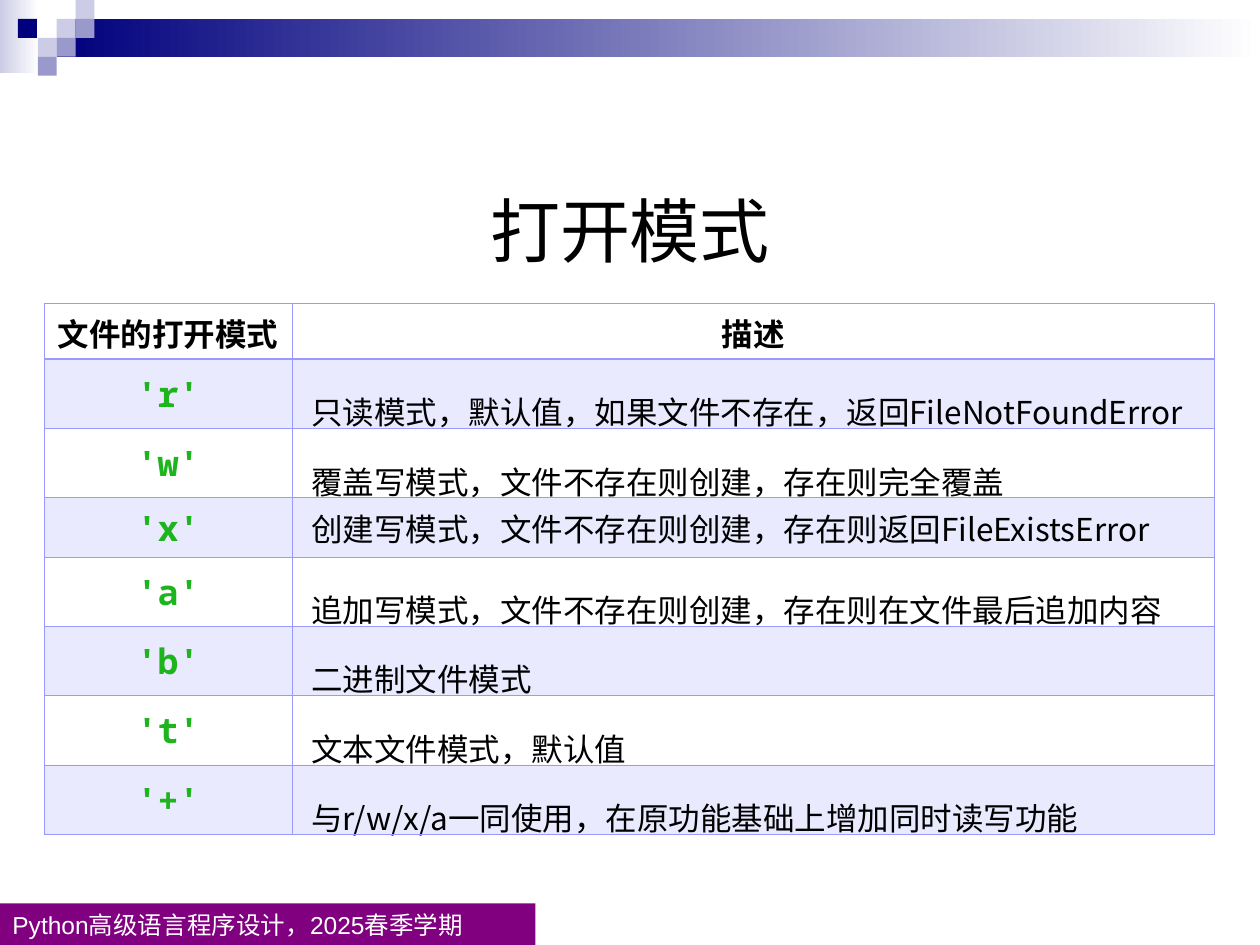
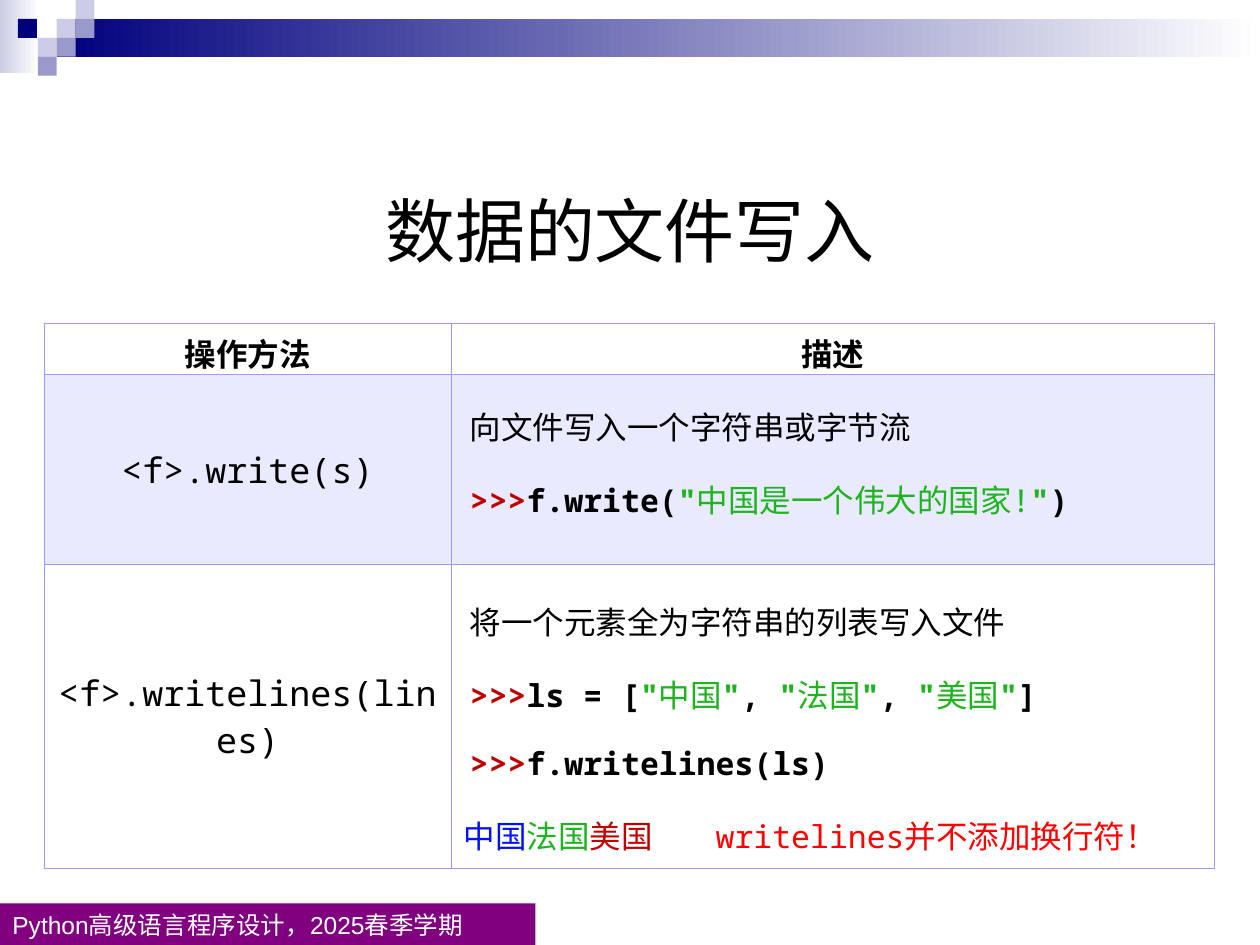
"""Build two slides on opening files and writing data to them."""
from dataclasses import dataclass, replace

from lxml import etree
from pptx import Presentation
from pptx.dml.color import RGBColor
from pptx.enum import shapes, text
from pptx.oxml.ns import qn
from pptx.util import Emu, Inches, Pt

CELL = 0.05
COLUMNS, ROWS = 200, 150
TILE = 3


@dataclass(frozen=True)
class Theme:
    """Colours, fonts and sizes shared by the slides."""
    black: str = "000000"
    white: str = "FFFFFF"
    navy: str = "00007D"
    mist: str = "CCCCE6"
    steel: str = "9999CC"
    purple: str = "800080"
    rule: str = "9999FF"
    green: str = "1DB41D"
    crimson: str = "C00000"
    blue: str = "0010FF"
    red: str = "FF0000"
    sans: str = "Noto Sans CJK SC"
    mono: str = "Noto Sans Mono"
    footer: str = "Arial"
    title_size: int = 40
    body_size: int = 18
    code_size: int = 20
    footer_size: int = 14
    thin: float = 0.45
    thick: float = 0.96
    tint_alpha: int = 20


THEME = Theme()


@dataclass(frozen=True)
class Area:
    """A rectangle in grid cells."""
    left: float
    top: float
    width: float
    height: float

    def lengths(self) -> list[Emu]:
        """Return left, top, width and height as lengths."""
        return [grid(v) for v in (self.left, self.top, self.width, self.height)]


@dataclass(frozen=True)
class Look:
    """The type style of a span."""
    size: int = THEME.body_size
    face: str = THEME.sans
    color: str = THEME.black
    bold: bool = False


@dataclass(frozen=True)
class Span:
    """Words in one look."""
    words: str
    look: Look = Look()


@dataclass(frozen=True)
class Line:
    """One paragraph, with indent and tab stop in inches."""
    spans: tuple[Span, ...]
    spacing: float = 1.0
    centred: bool = False
    indent: float = 0
    tab: float = 0


@dataclass(frozen=True)
class Entry:
    """The lines of one table cell and its bottom margin in inches."""
    lines: tuple[Line, ...]
    bottom: float = 0.05


@dataclass(frozen=True)
class Sheet:
    """A title with a table, measured in grid cells."""
    title: str
    top: float
    widths: tuple[float, ...]
    heights: tuple[float, ...]
    entries: tuple[tuple[Entry, ...], ...]


@dataclass(frozen=True)
class Block:
    """A coloured rectangle, fading to white if asked."""
    area: Area
    color: str
    fades: bool = False


BODY = Look()
HEAD = Look(bold=True)
MONO = Look(face=THEME.mono, bold=True)
PROMPT = Span(">>>", replace(MONO, color=THEME.crimson))
QUOTE = Span('"', replace(MONO, color=THEME.green))
LITERAL = replace(QUOTE.look, bold=False)
METHOD = Look(THEME.code_size, THEME.mono)
MODE = replace(METHOD, color=THEME.green, bold=True)
TITLE = Look(THEME.title_size)
FOOTER = Look(THEME.footer_size, THEME.footer, THEME.white)


def tile(column: float, row: float, color: str) -> Block:
    """Place one square of the corner pattern."""
    return Block(Area(column * TILE, row * TILE, TILE, TILE), color)


BLOCKS = (
    Block(Area(0, 0, 6.2, 11.6), THEME.mist, True),
    Block(Area(9, 3, COLUMNS - 9, 6), THEME.navy, True),
    tile(3, 1, THEME.mist), tile(4, 0, THEME.mist), tile(4, 1, THEME.steel),
    tile(2, 2, THEME.mist), tile(0.95, 1, THEME.navy), tile(3, 2, THEME.steel),
    tile(2, 3, THEME.steel),
)
FOOTER_BLOCK = Block(Area(0, 143.4, 85, 6.8), THEME.purple)
TITLE_AREA = Area(0, 29.4, COLUMNS, 17.4)
TABLE_LEFT = 7


def grid(cells: float) -> Emu:
    """Turn grid cells into a length."""
    return Inches(cells * CELL)


def centred(words: str, look: Look) -> Entry:
    """Make a cell with one centred line."""
    return Entry((Line((Span(words, look),), centred=True),))


def describe(words: str, spacing: float = 1.5) -> Line:
    """Make an indented line of description."""
    return Line((Span(words),), spacing, indent=0.11)


def code(*spans: Span) -> Line:
    """Make a line typed at the prompt."""
    return Line((PROMPT, *spans), 1.6, indent=0.11)


def quoted(words: str) -> tuple[Span, ...]:
    """Put a string literal between quotes."""
    return QUOTE, Span(words, LITERAL), QUOTE


def style(font, look: Look) -> None:
    """Apply a look to a font."""
    font.size = Pt(look.size)
    font.bold = look.bold
    font.color.rgb = RGBColor.from_string(look.color)
    font.name = look.face
    etree.SubElement(font._rPr, qn("a:ea"), typeface=THEME.sans)


def write(frame, lines: tuple[Line, ...]) -> None:
    """Fill a text frame with lines."""
    for index, line in enumerate(lines):
        para = frame.add_paragraph() if index else frame.paragraphs[0]
        para.alignment = text.PP_ALIGN.CENTER if line.centred else text.PP_ALIGN.LEFT
        para.line_spacing = line.spacing
        props = para._p.get_or_add_pPr()
        props.set("marL", str(Inches(line.indent)))
        props.set("indent", "0")
        if line.tab:
            tabs = etree.SubElement(props, qn("a:tabLst"))
            etree.SubElement(tabs, qn("a:tab"), pos=str(Inches(line.tab)), algn="l")
        for span in line.spans:
            run = para.add_run()
            run.text = span.words
            if len(line.spans) > 1:
                style(run.font, span.look)
        if len(line.spans) == 1:
            style(para.font, line.spans[0].look)


def draw_block(page, block: Block):
    """Draw a rectangle without outline or shadow."""
    box = page.shapes.add_shape(shapes.MSO_SHAPE.RECTANGLE, *block.area.lengths())
    box.shadow.inherit = False
    box.line.fill.background()
    if block.fades:
        box.fill.gradient()
        box.fill.gradient_angle = 0
        for stop, color, place in zip(box.fill.gradient_stops, (block.color, THEME.white), (0, 1)):
            stop.color.rgb = RGBColor.from_string(color)
            stop.position = place
    else:
        box.fill.solid()
        box.fill.fore_color.rgb = RGBColor.from_string(block.color)
    return box


def draw_frame(page, title: str) -> None:
    """Draw the bands, footer and title of a slide."""
    for block in BLOCKS:
        draw_block(page, block)
    footer = draw_block(page, FOOTER_BLOCK).text_frame
    footer.vertical_anchor = text.MSO_ANCHOR.TOP
    write(footer, (Line((Span("Python高级语言程序设计，2025春季学期", FOOTER),)),))
    frame = page.shapes.add_textbox(*TITLE_AREA.lengths()).text_frame
    frame.word_wrap = True
    frame.vertical_anchor = text.MSO_ANCHOR.MIDDLE
    frame.margin_left = frame.margin_right = frame.margin_top = frame.margin_bottom = 0
    write(frame, (Line((Span(title, TITLE),), 0.7, True),))


def dress_cell(cell, row: int) -> None:
    """Set the borders and the fill of a table cell."""
    props = cell._tc.get_or_add_tcPr()
    heavy = {0: "lnB", 1: "lnT"}.get(row)
    for side in ("lnL", "lnR", "lnT", "lnB"):
        weight = THEME.thick if side == heavy else THEME.thin
        border = etree.SubElement(props, qn(f"a:{side}"), w=str(Pt(weight)))
        paint = etree.SubElement(border, qn("a:solidFill"))
        etree.SubElement(paint, qn("a:srgbClr"), val=THEME.rule)
    if row % 2:
        cell.fill.solid()
        cell.fill.fore_color.rgb = RGBColor.from_string(THEME.rule)
        color = props.find(f"{qn('a:solidFill')}/{qn('a:srgbClr')}")
        etree.SubElement(color, qn("a:alpha"), val=str(THEME.tint_alpha * 1000))
    else:
        cell.fill.background()


def draw_table(page, sheet: Sheet) -> None:
    """Draw the table of a sheet."""
    area = Area(TABLE_LEFT, sheet.top, sum(sheet.widths), sum(sheet.heights))
    table = page.shapes.add_table(len(sheet.heights), len(sheet.widths), *area.lengths()).table
    table.first_row = table.horz_banding = False
    for column, width in zip(table.columns, sheet.widths):
        column.width = grid(width)
    for row, height in enumerate(sheet.heights):
        table.rows[row].height = grid(height)
        for column, entry in enumerate(sheet.entries[row]):
            cell = table.cell(row, column)
            cell.vertical_anchor = text.MSO_ANCHOR.MIDDLE
            cell.margin_left = cell.margin_right = Inches(0.04)
            cell.margin_top, cell.margin_bottom = Inches(0.05), Inches(entry.bottom)
            dress_cell(cell, row)
            write(cell.text_frame, entry.lines)


MODES = (
    ("r", "只读模式，默认值，如果文件不存在，返回FileNotFoundError", 1.5),
    ("w", "覆盖写模式，文件不存在则创建，存在则完全覆盖", 1.5),
    ("x", "创建写模式，文件不存在则创建，存在则返回FileExistsError", 1.0),
    ("a", "追加写模式，文件不存在则创建，存在则在文件最后追加内容", 1.5),
    ("b", "二进制文件模式", 1.5),
    ("t", "文本文件模式，默认值", 1.5),
    ("+", "与r/w/x/a一同使用，在原功能基础上增加同时读写功能", 1.5),
)
COMMA = Span(", ", MONO)
OUTPUT = Line((
    Span("中国", replace(LITERAL, color=THEME.blue)), Span("法国", LITERAL),
    Span("美国\t", replace(LITERAL, color=THEME.crimson)),
    Span("writelines并不添加换行符！", replace(LITERAL, color=THEME.red)),
), 1.6, indent=0.06, tab=2.05)
WRITE = Entry((
    describe("向文件写入一个字符串或字节流"),
    code(Span("f.write(", MONO), *quoted("中国是一个伟大的国家!"), Span(")", MONO)),
), bottom=0.4)
WRITELINES = Entry((
    describe("将一个元素全为字符串的列表写入文件"),
    code(Span("ls = [", MONO), *quoted("中国"), COMMA, *quoted("法国"), COMMA,
         *quoted("美国"), Span("]", MONO)),
    code(Span("f.writelines(ls)", MONO)),
    OUTPUT,
))
SHEETS = (
    Sheet("打开模式", 48.2, (39.4, 146.4),
          (8.8, *(11 if spacing > 1 else 9.4 for _, _, spacing in MODES)),
          ((centred("文件的打开模式", HEAD), centred("描述", HEAD)),
           *((centred(f"'{mode}'", MODE), Entry((describe(words, spacing),)))
             for mode, words, spacing in MODES))),
    Sheet("数据的文件写入", 51.4, (64.6, 121.2), (8, 30.2, 48.2),
          ((centred("操作方法", HEAD), centred("描述", HEAD)),
           (centred("<f>.write(s)", METHOD), WRITE),
           (centred("<f>.writelines(lines)", METHOD), WRITELINES))),
)


def main() -> None:
    """Build and save the deck."""
    deck = Presentation()
    deck.slide_width, deck.slide_height = grid(COLUMNS), grid(ROWS)
    for sheet in SHEETS:
        page = deck.slides.add_slide(deck.slide_layouts[6])
        draw_frame(page, sheet.title)
        draw_table(page, sheet)
    deck.save("out.pptx")


if __name__ == "__main__":
    main()
